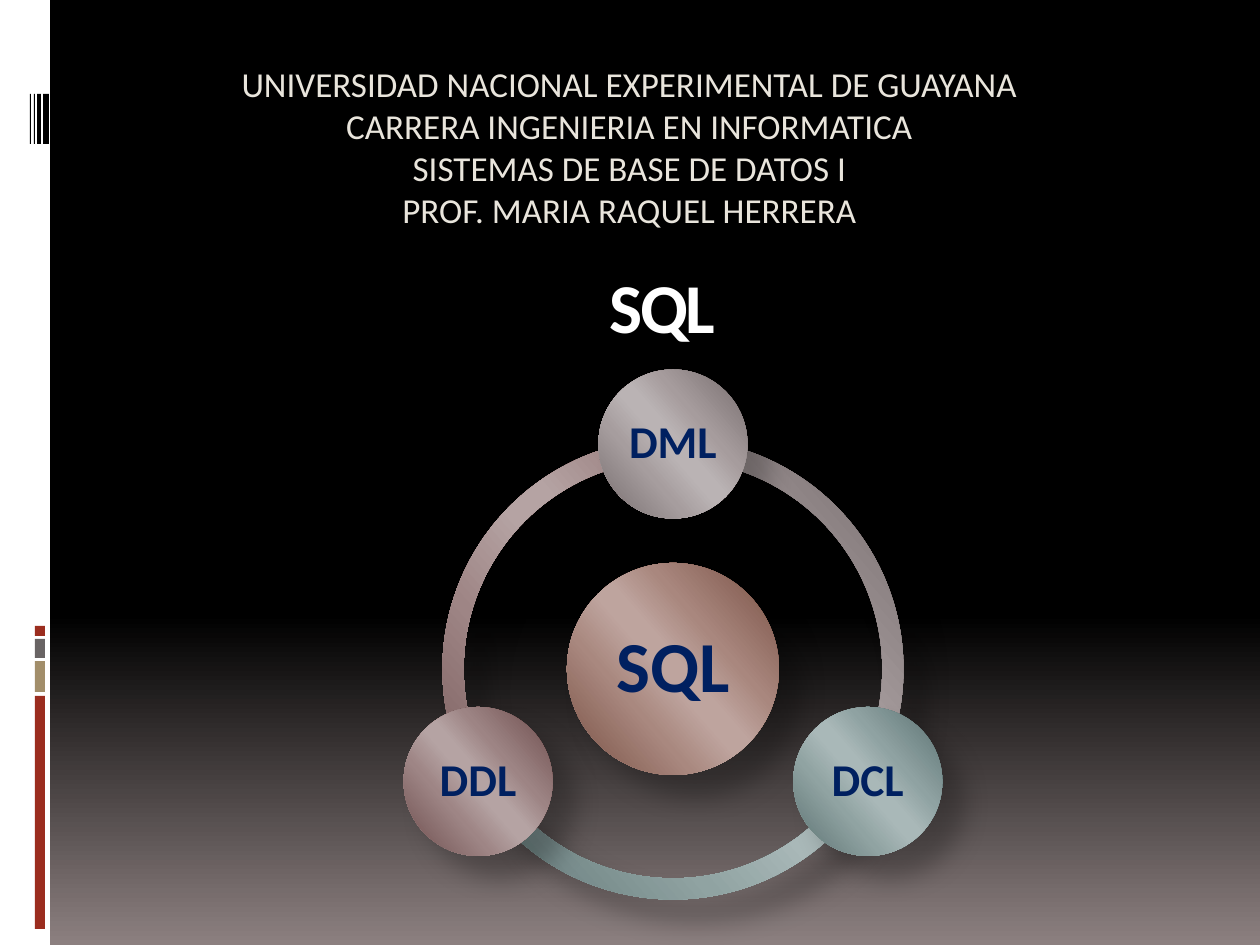
from math import cos, radians, sin

from lxml import etree
from pptx import Presentation
from pptx.dml.color import RGBColor
from pptx.enum.shapes import MSO_SHAPE
from pptx.enum.text import MSO_ANCHOR, PP_ALIGN
from pptx.oxml.ns import qn
from pptx.util import Pt

RECT, OVAL, ARC = MSO_SHAPE.RECTANGLE, MSO_SHAPE.OVAL, MSO_SHAPE.BLOCK_ARC
MIDDLE, BOTTOM = MSO_ANCHOR.MIDDLE, MSO_ANCHOR.BOTTOM
CENTER = PP_ALIGN.CENTER
PX = 914400 / 126

COLORS = {
    "white": "FFFFFF", "black": "000000", "red": "9B2D1F", "tan": "A28E6A",
    "gray": "696464", "cream": "E9E5DC", "navy": "002060",
}
SHEENS = {
    "brown": ["774E41", "A9877E", "BEA49E", "BEA49E", "A9887F", "774E41"],
    "mauve": ["746A6B", "A69C9D", "BAB3B4", "BAB3B4", "A69D9E", "746A6B"],
    "teal": ["597070", "8FA2A2", "A9B8B8", "A9B8B8", "90A3A2", "597070"],
    "rose": ["6B4A4A", "9D8484", "B5A3A3", "B5A3A3", "9E8585", "6B4A4A"],
}
SHEEN_STOPS = [0, 33, 47, 53, 68, 100]
SHEEN_ANGLE = 139
BACKGROUND = [(0, "000000"), (65, "000000"), (100, "8C8080")]

HEADING = [
    "UNIVERSIDAD NACIONAL EXPERIMENTAL DE GUAYANA",
    "CARRERA INGENIERIA EN INFORMATICA",
    "SISTEMAS DE BASE DE DATOS I",
    "PROF. MARIA RAQUEL HERRERA",
]
TITLE = "SQL"
HUB = ("SQL", "brown")
NODES = [("DML", "mauve", 270), ("DCL", "teal", 30), ("DDL", "rose", 150)]

SIDE_BARS = [
    ("white", 0, 0, 50, 945),
    ("red", 35, 696, 10, 233),
    ("tan", 35, 661, 10, 31),
    ("gray", 35, 639, 10, 19),
    ("red", 35, 626, 10, 10),
    ("black", 43, 94, 6, 50),
    ("black", 37, 94, 4, 50),
    ("black", 34, 94, 1, 50),
    ("black", 30, 94, 1, 50),
]

RING_X, RING_Y, RING_SIZE, RING_WIDTH = 673, 669, 461, 0.046
ORBIT, NODE_SIZE, HUB_SIZE = 225, 149, 212

deck = Presentation()
deck.slide_width, deck.slide_height = round(1260 * PX), round(945 * PX)
page = deck.slides.add_slide(deck.slide_layouts[6])


def emu(*lengths):
    return [round(length * PX) for length in lengths]


def set_gradient(fill, element, stops, angle):
    fill.gradient()
    fill.gradient_angle = 360 - angle
    stop_list = element.find(".//" + qn("a:gsLst"))
    for stop in list(stop_list):
        stop_list.remove(stop)
    for position, color in stops:
        stop = etree.SubElement(stop_list, qn("a:gs"), pos=str(position * 1000))
        etree.SubElement(stop, qn("a:srgbClr"), val=color)


def add_shadow(shape):
    effects = shape._element.spPr.find(qn("a:effectLst"))
    shadow = etree.SubElement(
        effects, qn("a:outerShdw"), blurRad=str(Pt(15)), dist=str(Pt(18)),
        dir=str(45 * 60000), algn="tl", rotWithShape="0")
    color = etree.SubElement(shadow, qn("a:srgbClr"), val=COLORS["black"])
    etree.SubElement(color, qn("a:alpha"), val="26000")


def add_plain_shape(kind, left, top, width, height):
    shape = page.shapes.add_shape(kind, *emu(left, top, width, height))
    shape.shadow.inherit = False
    shape.line.fill.background()
    return shape


def add_sheen_shape(kind, x, y, size, sheen):
    shape = add_plain_shape(kind, x - size / 2, y - size / 2, size, size)
    stops = zip(SHEEN_STOPS, SHEENS[sheen])
    set_gradient(shape.fill, shape._element, stops, SHEEN_ANGLE)
    add_shadow(shape)
    return shape


def write_text(shape, text, color, size, bold=False, anchor=MIDDLE, wrap=True,
               line_spacing=None, tracking=None):
    frame = shape.text_frame
    frame.word_wrap, frame.vertical_anchor = wrap, anchor
    para = frame.paragraphs[0]
    para.text = text
    para.alignment, para.line_spacing = CENTER, line_spacing
    for span in para.runs:
        values = {"name": "Calibri", "size": Pt(size), "bold": bold}
        for name, value in values.items():
            setattr(span.font, name, value)
        span.font.color.rgb = RGBColor.from_string(COLORS[color])
        if tracking:
            span._r.get_or_add_rPr().set("spc", str(round(tracking * 100)))


def add_disc(text, x, y, size, sheen, font_size):
    disc = add_sheen_shape(OVAL, x, y, size, sheen)
    write_text(disc, text, "navy", font_size, bold=True, wrap=False, line_spacing=0.9)


set_gradient(page.background.fill, page.element, BACKGROUND, 90)

for color, *place in SIDE_BARS:
    bar = add_plain_shape(RECT, *place)
    bar.fill.solid()
    bar.fill.fore_color.rgb = RGBColor.from_string(COLORS[color])

heading_box = page.shapes.add_textbox(*emu(94, 45, 1071, 203))
write_text(heading_box, "\v".join(HEADING), "cream", 20)
title_box = page.shapes.add_textbox(*emu(94, 254, 1137, 100))
write_text(title_box, TITLE, "white", 40, bold=True, anchor=BOTTOM, tracking=-1.5)

for _, sheen, angle in reversed(NODES):
    arc = add_sheen_shape(ARC, RING_X, RING_Y, RING_SIZE, sheen)
    ends = [angle, (angle + 120) % 360]
    for index, value in enumerate([end * 0.6 for end in ends] + [RING_WIDTH]):
        arc.adjustments[index] = value

add_disc(HUB[0], RING_X, RING_Y, HUB_SIZE, HUB[1], 41)
for text, sheen, angle in NODES:
    x = RING_X + ORBIT * cos(radians(angle))
    y = RING_Y + ORBIT * sin(radians(angle))
    add_disc(text, x, y, NODE_SIZE, sheen, 26)

deck.save("out.pptx")
